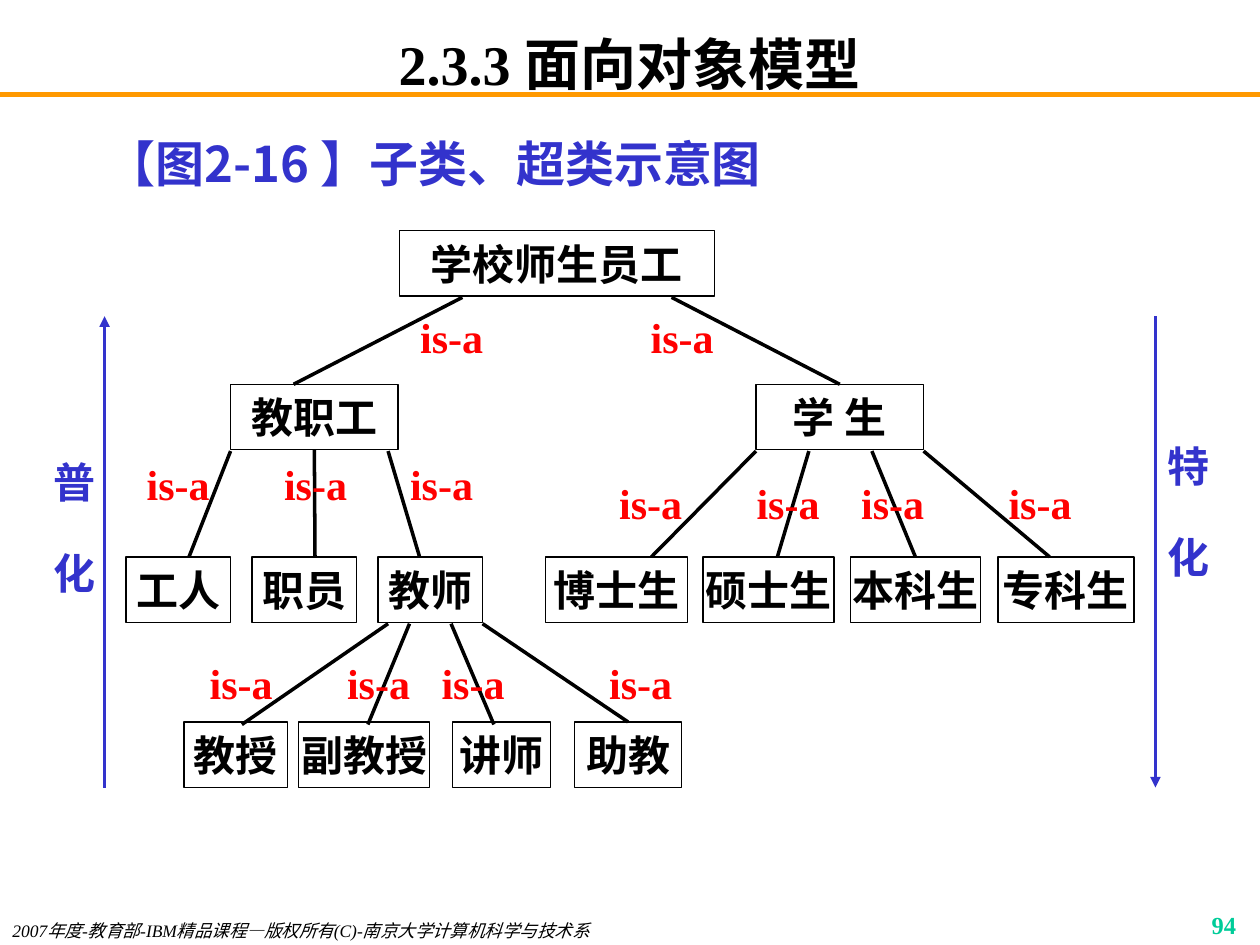
from lxml import etree
from pptx import Presentation
from pptx.dml.color import RGBColor
from pptx.enum.shapes import MSO_CONNECTOR, MSO_SHAPE
from pptx.enum.text import MSO_ANCHOR, PP_ALIGN
from pptx.oxml.ns import qn
from pptx.util import Inches, Pt

STRAIGHT = MSO_CONNECTOR.STRAIGHT
RECTANGLE = MSO_SHAPE.RECTANGLE
TOP, MIDDLE = MSO_ANCHOR.TOP, MSO_ANCHOR.MIDDLE
LEFT, CENTER, RIGHT, JUSTIFY = PP_ALIGN.LEFT, PP_ALIGN.CENTER, PP_ALIGN.RIGHT, PP_ALIGN.JUSTIFY
LATIN, CHINESE = "Times New Roman", "Noto Sans CJK SC"
COLORS = {"black": "000000", "white": "FFFFFF", "blue": "3333CC",
          "red": "FF0000", "orange": "FF9900", "green": "00CC99"}
BOX_HEIGHT = 0.52

presentation = Presentation()
presentation.slide_width = Inches(10)
presentation.slide_height = Inches(7.5)
slide = presentation.slides.add_slide(presentation.slide_layouts[5])


def write(shape, text, size, color, align=LEFT, anchor=TOP, margins=(0.1, 0.05),
          font=LATIN, bold=True, italic=False, wrap=True):
    frame = shape.text_frame
    frame.text = text
    frame.word_wrap = wrap
    frame.vertical_anchor = anchor
    frame.margin_left = frame.margin_right = Inches(margins[0])
    frame.margin_top = frame.margin_bottom = Inches(margins[1])
    for paragraph in frame.paragraphs:
        paragraph.alignment = align
        for run in paragraph.runs:
            run.font.size = Pt(size)
            run.font.bold = bold
            run.font.italic = italic
            run.font.name = font
            run.font.color.rgb = RGBColor.from_string(COLORS[color])
            east_asian = etree.SubElement(run.font._element, qn("a:ea"))
            east_asian.set("typeface", CHINESE)


def draw_line(start, end, color, width, arrow=False):
    line = slide.shapes.add_connector(STRAIGHT, *[Inches(value) for value in start + end])
    line.line.color.rgb = RGBColor.from_string(COLORS[color])
    line.line.width = Pt(width)
    if arrow:
        etree.SubElement(line.line._get_or_add_ln(), qn("a:tailEnd")).set("type", "triangle")
    etree.SubElement(line._element.spPr, qn("a:effectLst"))
    return line


title = slide.shapes.title
title.left, title.top, title.width, title.height = [Inches(v) for v in (0.75, 0.25, 8.5, 0.5)]
write(title, "2.3.3 面向对象模型", 32, "black", CENTER, MIDDLE, (0.1, 0))
rule = draw_line((0, 0.75), (10, 0.75), "orange", 3)
title._element.addprevious(rule._element)

caption = slide.shapes.add_textbox(Inches(0.75), Inches(0.92), Inches(8.5), Inches(0.75))
write(caption, "【图2-16 】子类、超类示意图", 28, "blue", font=CHINESE)
caption.text_frame.paragraphs[0].line_spacing = 1.2

footer = slide.shapes.add_textbox(Inches(0), Inches(7.25), Inches(5.5), Inches(0.25))
write(footer, "2007年度-教育部-IBM精品课程—版权所有(C)-南京大学计算机科学与技术系",
      10, "black", bold=False, italic=True)
page_number = slide.shapes.add_textbox(Inches(7.83), Inches(7.17), Inches(2.08), Inches(0.25))
write(page_number, "94", 14, "green", RIGHT)

directions = [
    ("普\n化", 0.33, 3.12, 2.13, (0.83, 6.25), (0.83, 2.51)),
    ("特\n化", 9.17, 3.03, 2.05, (9.17, 2.51), (9.17, 6.25)),
]
for text, left, top, height, start, end in directions:
    draw_line(start, end, "blue", 2, arrow=True)
    label = slide.shapes.add_textbox(Inches(left), Inches(top), Inches(0.5), Inches(height))
    write(label, text, 24, "blue", JUSTIFY, MIDDLE)
    label.text_frame.paragraphs[1].space_before = Pt(23)

box_rows = [
    (1.83, [("学校师生员工", 3.17, 2.5)]),
    (3.05, [("教职工", 1.83, 1.33), ("学 生", 6, 1.33)]),
    (4.42, [("工人", 1, 0.83), ("职员", 2, 0.83), ("教师", 3, 0.83), ("博士生", 4.33, 1.13),
            ("硕士生", 5.58, 1.04), ("本科生", 6.75, 1.03), ("专科生", 7.92, 1.08)]),
    (5.73, [("教授", 1.46, 0.82), ("副教授", 2.37, 1.04),
            ("讲师", 3.59, 0.78), ("助教", 4.56, 0.85)]),
]
boxes = {}
for top, row in box_rows:
    for name, left, width in row:
        box = slide.shapes.add_shape(RECTANGLE, Inches(left), Inches(top),
                                     Inches(width), Inches(BOX_HEIGHT))
        box.shadow.inherit = False
        box.fill.solid()
        box.fill.fore_color.rgb = RGBColor.from_string(COLORS["white"])
        box.line.color.rgb = RGBColor.from_string(COLORS["black"])
        box.line.width = Pt(0.75)
        write(box, name, 24, "black", CENTER, MIDDLE, (0, 0.05),
              font=CHINESE if name == "学 生" else LATIN)
        boxes[name] = box

branches = [
    ("学校师生员工", 2.36, 3.05, [(3.67, 2.33, "教职工"), (5.33, 6.67, "学 生")]),
    ("教职工", 3.58, 4.42, [(1.83, 1.5, "工人"), (2.5, 2.5, "职员"), (3.08, 3.33, "教师")]),
    ("学 生", 3.58, 4.42, [(6, 5.17, "博士生"), (6.42, 6.17, "硕士生"),
                          (6.92, 7.25, "本科生"), (7.33, 8.33, "专科生")]),
    ("教师", 4.95, 5.75, [(3.08, 1.92, "教授"), (3.25, 2.92, "副教授"),
                         (3.58, 3.92, "讲师"), (3.83, 5, "助教")]),
]
for parent_name, top, bottom, children in branches:
    parent = boxes[parent_name]
    for start_x, end_x, child_name in children:
        child = boxes[child_name]
        line = draw_line((start_x, top), (end_x, bottom), "black", 2)
        if abs(parent.left + parent.width / 2 - Inches(start_x)) < Inches(0.03):
            line.begin_connect(parent, 2)
        if abs(child.left + child.width / 2 - Inches(end_x)) < Inches(0.03):
            line.end_connect(child, 0)

relation_rows = [
    (2.5, [3.25, 5.08]),
    (3.67, [1.08, 2.17, 3.17]),
    (3.82, [4.83, 5.92, 6.75, 7.92]),
    (5.25, [1.58, 2.67, 3.42, 4.75]),
]
for top, lefts in relation_rows:
    for left in lefts:
        relation = slide.shapes.add_textbox(Inches(left), Inches(top), Inches(0.67), Inches(0.34))
        write(relation, "is-a", 24, "red", CENTER, MIDDLE, (0, 0))

presentation.save("out.pptx")
